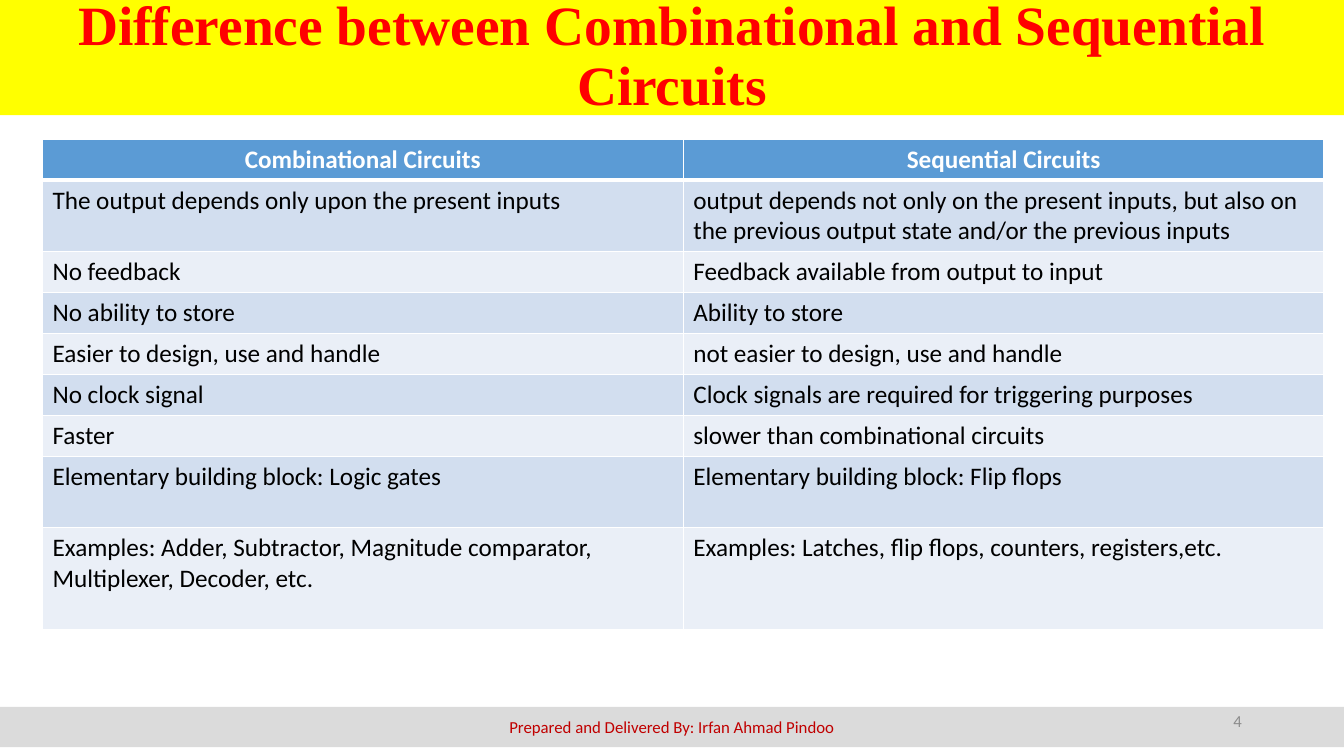
from lxml import etree
from pptx import Presentation
from pptx.dml.color import RGBColor
from pptx.enum.shapes import MSO_SHAPE
from pptx.enum.text import MSO_ANCHOR, MSO_AUTO_SIZE, PP_ALIGN
from pptx.oxml.ns import qn
from pptx.util import Cm, Pt

RECT = MSO_SHAPE.RECTANGLE
MIDDLE = MSO_ANCHOR.MIDDLE
NO_FIT = MSO_AUTO_SIZE.NONE
LEFT, CENTER, RIGHT = PP_ALIGN.LEFT, PP_ALIGN.CENTER, PP_ALIGN.RIGHT

YELLOW = RGBColor(0xFF, 0xFF, 0x00)
RED = RGBColor(0xFF, 0x00, 0x00)
WINE = RGBColor(0xC0, 0x00, 0x00)
BLUE = RGBColor(0x5B, 0x9B, 0xD5)
BANDS = RGBColor(0xD2, 0xDE, 0xEF), RGBColor(0xEA, 0xEF, 0xF7)
WHITE = RGBColor(0xFF, 0xFF, 0xFF)
BLACK = RGBColor(0x00, 0x00, 0x00)
SILVER = RGBColor(0xDB, 0xDB, 0xDB)
GRAY = RGBColor(0x8C, 0x8C, 0x8C)

WIDTH, HEIGHT = 33.87, 19.05
ROWS = [
    ("Combinational Circuits", "Sequential Circuits"),
    ("The output depends only upon the present inputs",
     "output depends not only on the present inputs, but also on the "
     "previous output state and/or the previous inputs"),
    ("No feedback", "Feedback available from output to input"),
    ("No ability to store", "Ability to store"),
    ("Easier to design, use and handle",
     "not easier to design, use and handle"),
    ("No clock signal", "Clock signals are required for triggering purposes"),
    ("Faster", "slower than combinational circuits"),
    ("Elementary building block: Logic gates",
     "Elementary building block: Flip flops"),
    ("Examples: Adder, Subtractor, Magnitude comparator, Multiplexer, "
     "Decoder, etc.",
     "Examples: Latches, flip flops, counters, registers,etc."),
]
LOW = 1.03
TALL = {1: 1.8, 7: 1.8, 8: 2.58}


class Page:
    font = "Calibri"
    head = "Times New Roman"

    def __init__(self, deck):
        self.slide = deck.slides.add_slide(deck.slide_layouts[5])
        self.shapes = self.slide.shapes

    def put(self, frame, text, size, color, align, bold=False, font=None):
        frame.text = text
        frame.word_wrap = True
        para = frame.paragraphs[0]
        para.alignment = align
        for run in para.runs:
            run.font.name = font or self.font
            run.font.size = Pt(size)
            run.font.bold = bold
            run.font.color.rgb = color
        return para

    def title(self, text, box, fill):
        shape = self.shapes.title
        shape.left, shape.top, shape.width, shape.height = map(Cm, box)
        shape.fill.solid()
        shape.fill.fore_color.rgb = fill
        frame = shape.text_frame
        para = self.put(frame, text, 39.6, RED, CENTER, True, self.head)
        para.line_spacing = 0.9
        frame.auto_size = NO_FIT
        frame.vertical_anchor = MIDDLE

    def bar(self, text, box, fill, color):
        shape = self.shapes.add_shape(RECT, *map(Cm, box))
        shape.shadow.inherit = False
        shape.fill.solid()
        shape.fill.fore_color.rgb = fill
        shape.line.fill.background()
        self.put(shape.text_frame, text, 12, color, CENTER)
        shape.text_frame.vertical_anchor = MIDDLE

    def label(self, text, box, color, align):
        frame = self.shapes.add_textbox(*map(Cm, box)).text_frame
        self.put(frame, text, 12, color, align)
        frame.vertical_anchor = MIDDLE

    def edge(self, cell, side, width):
        props = cell._tc.get_or_add_tcPr()
        line = etree.SubElement(props, qn("a:ln" + side), w=str(Pt(width)))
        fill = etree.SubElement(line, qn("a:solidFill"))
        etree.SubElement(fill, qn("a:srgbClr"), val=str(WHITE))

    def table(self, rows, left, top, width):
        highs = [TALL.get(i, LOW) for i in range(len(rows))]
        box = left, top, width, sum(highs)
        grid = self.shapes.add_table(len(rows), 2, *map(Cm, box)).table
        for col in grid.columns:
            col.width = Cm(width / 2)
        for i, (row, high) in enumerate(zip(rows, highs)):
            grid.rows[i].height = Cm(high)
            top_row = i == 0
            for cell, text in zip(grid.rows[i].cells, row):
                self.put(cell.text_frame, text, 18,
                         WHITE if top_row else BLACK,
                         CENTER if top_row else LEFT, top_row)
                # Each row's lower edge also serves the row below it
                for side in "LRTB" if top_row else "LRB":
                    thick = top_row and side == "B"
                    self.edge(cell, side, 3 if thick else 1)
                cell.fill.solid()
                cell.fill.fore_color.rgb = BLUE if top_row else BANDS[(i - 1) % 2]


def main():
    deck = Presentation()
    deck.slide_width, deck.slide_height = Cm(WIDTH), Cm(HEIGHT)
    page = Page(deck)

    # Heading
    page.title("Difference between Combinational and Sequential Circuits",
               (0, 0, WIDTH, 2.9), YELLOW)

    # Comparison
    page.table(ROWS, 1.07, 3.51, 32.3)

    # Footer
    page.bar("Prepared and Delivered By: Irfan Ahmad Pindoo",
             (0, 17.81, WIDTH, 1.02), SILVER, WINE)
    page.label("4", (23.93, 17.65, 7.62, 1.02), GRAY, RIGHT)

    deck.save("out.pptx")


if __name__ == "__main__":
    main()
